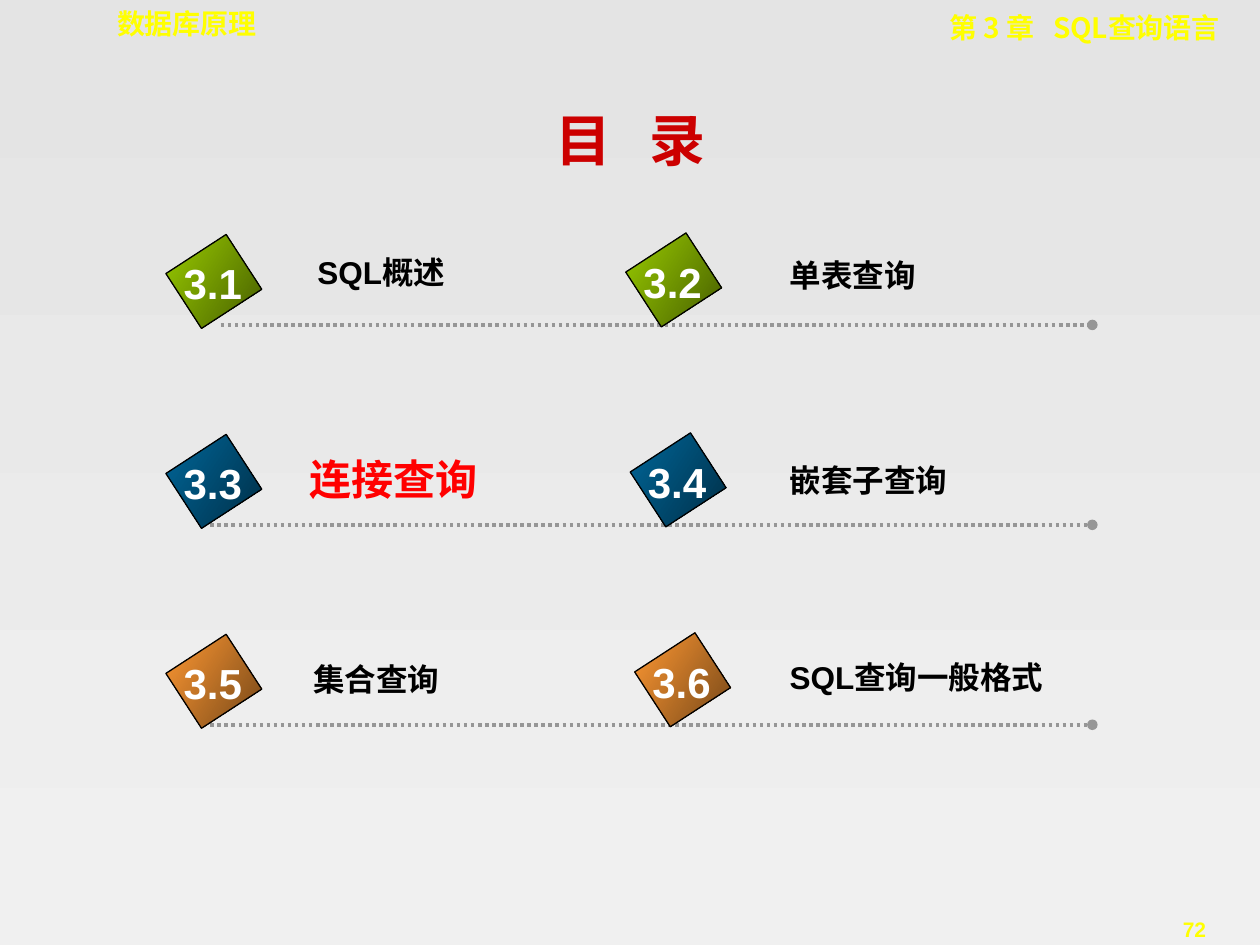
from dataclasses import dataclass

from lxml.etree import SubElement
from pptx import Presentation
from pptx.dml.color import RGBColor
from pptx.enum.dml import MSO_LINE
from pptx.enum.shapes import MSO_CONNECTOR, MSO_SHAPE
from pptx.enum.text import MSO_ANCHOR, PP_ALIGN
from pptx.oxml.ns import qn
from pptx.util import Cm, Pt


@dataclass(frozen=True)
class Theme:
    latin: str = "Arial"
    cjk: str = "Noto Sans CJK SC"
    mono: str = "DejaVu Sans Mono"
    title: str = "CC0000"
    header: str = "FFFF00"
    text: str = "000000"
    current: str = "FF0000"
    number: str = "FFFFFF"
    rule: str = "969696"
    background: tuple = ("E4E4E4", "F0F0F0")
    badges: tuple = (("99CC00", "475E00"), ("006699", "002F47"), ("FF9933", "764718"))
    title_size: int = 32
    large_size: int = 24
    label_size: int = 18
    header_size: int = 16
    page_size: int = 12


THEME = Theme()
ROW_TOP, ROW_PITCH = 4.95, 4.03
RIGHT_BADGE, RIGHT_LABEL = 12.72, 15.67

# Per row: rule start, then (number, label, label left, label drop, label width, current)
ROWS = (
    (4.45, ("3.1", "SQL概述", 6.15, 0.03, 5.7, False),
     ("3.2", "单表查询", RIGHT_LABEL, 0.08, 4.45, False)),
    (4.24, ("3.3", "连接查询", 6, 0.04, 4.37, True),
     ("3.4", "嵌套子查询", RIGHT_LABEL, 0.19, 4.01, False)),
    (4.24, ("3.5", "集合查询", 6.07, 0.18, 3.81, False),
     ("3.6", "SQL查询一般格式", RIGHT_LABEL, 0.13, 5.92, False)),
)


def style(p, size, color, font=THEME.latin, align=PP_ALIGN.LEFT):
    p.alignment = align
    p.font.size = Pt(size)
    p.font.bold = True
    p.font.name = font
    p.font.color.rgb = RGBColor.from_string(color)


def fill_gradient(fill, colors, angle):
    fill.gradient()
    fill.gradient_angle = angle
    for stop, color, position in zip(fill.gradient_stops, colors, (0, 1)):
        stop.color.rgb = RGBColor.from_string(color)
        stop.position = position


def add_spaced(p, left, right, extra):
    """Add two words parted by a space that is widened by extra points."""
    for text in (left, " ", right):
        r = p.add_run()
        r.text = text
        if text == " ":
            r.font._element.set("spc", str(round(extra * 100)))


def add_text(shapes, x, y, w, h, text="", wrap=True, **look):
    tf = shapes.add_textbox(Cm(x), Cm(y), Cm(w), Cm(h)).text_frame
    tf.word_wrap = wrap
    p = tf.paragraphs[0]
    p.text = text
    style(p, **look)
    return p


def add_header(s, x, y, w):
    look = dict(size=THEME.header_size, color=THEME.header)
    add_text(s.shapes, x, y, 9.3, 0.94, "数据库原理", font=THEME.mono, **look)
    p = add_text(s.shapes, x + w - 11.05, y + 0.08, 11.05, 0.94,
                 font=THEME.cjk, align=PP_ALIGN.RIGHT, **look)
    add_spaced(p, "第 3 章", "SQL查询语言", 7.2)


def add_page_number(s, x, y, w, h):
    add_text(s.shapes, x, y, w, h, "72", wrap=False, size=THEME.page_size,
             color=THEME.header, align=PP_ALIGN.CENTER)


def add_title(s, x, y, w, h):
    title = s.shapes.title
    title.left, title.top, title.width, title.height = Cm(x), Cm(y), Cm(w), Cm(h)
    tf = title.text_frame
    tf.vertical_anchor = MSO_ANCHOR.MIDDLE
    p = tf.paragraphs[0]
    add_spaced(p, "目", "录", 14.3)
    style(p, THEME.title_size, THEME.title, THEME.cjk, PP_ALIGN.CENTER)


def add_rule(s, x1, x2, y):
    line = s.shapes.add_connector(MSO_CONNECTOR.STRAIGHT, Cm(x1), Cm(y), Cm(x2), Cm(y))
    line.line.width = Pt(2)
    line.line.color.rgb = RGBColor.from_string(THEME.rule)
    line.line.dash_style = MSO_LINE.ROUND_DOT
    spPr = line._element.spPr
    SubElement(spPr.find(qn("a:ln")), qn("a:tailEnd"), type="oval")
    SubElement(spPr, qn("a:effectLst"))


def add_badge(s, x, y, number, colors):
    """Tilted square with an upright number over it."""
    shapes = s.shapes.add_group_shape().shapes
    square = shapes.add_shape(MSO_SHAPE.RECTANGLE, Cm(x + 0.2), Cm(y), Cm(1.32), Cm(1.45))
    square.rotation = 57
    square.shadow.inherit = False
    fill_gradient(square.fill, colors, 327)
    square._element.spPr.find(qn("a:gradFill")).set("rotWithShape", "0")
    square.line.width = Pt(0.75)
    square.line.color.rgb = RGBColor.from_string(THEME.text)
    add_text(shapes, x, y + 0.12, 1.68, 1.27, number, wrap=False,
             size=THEME.large_size, color=THEME.number, align=PP_ALIGN.CENTER)


def add_entry(s, badge_x, badge_y, row_y, entry, colors):
    number, label, x, drop, w, current = entry
    add_badge(s, badge_x, badge_y, number, colors)
    size, color, h = ((THEME.large_size, THEME.current, 1.27) if current
                      else (THEME.label_size, THEME.text, 1.02))
    add_text(s.shapes, x, row_y + drop, w, h, label, size=size, color=color)


def add_contents(s, x, y, w):
    for i, ((rule_x, left, right), colors) in enumerate(zip(ROWS, THEME.badges)):
        row_y = y + i * ROW_PITCH
        add_rule(s, rule_x, x + w, row_y + 1.6)
        add_entry(s, x, row_y, row_y, left, colors)
        add_entry(s, RIGHT_BADGE + i * 0.09, row_y - 0.03, row_y, right, colors)


def main():
    prs = Presentation()
    prs.slide_width, prs.slide_height = Cm(25.4), Cm(19.05)
    s = prs.slides.add_slide(prs.slide_layouts[5])
    fill_gradient(s.background.fill, THEME.background, 270)
    add_header(s, 2.11, 0, 22.73)
    add_page_number(s, 22.81, 18.36, 2.54, 0.76)
    add_title(s, 1.91, 1.96, 21.59, 1.7)
    add_contents(s, 3.45, ROW_TOP, 18.57)
    prs.save("out.pptx")


if __name__ == "__main__":
    main()
